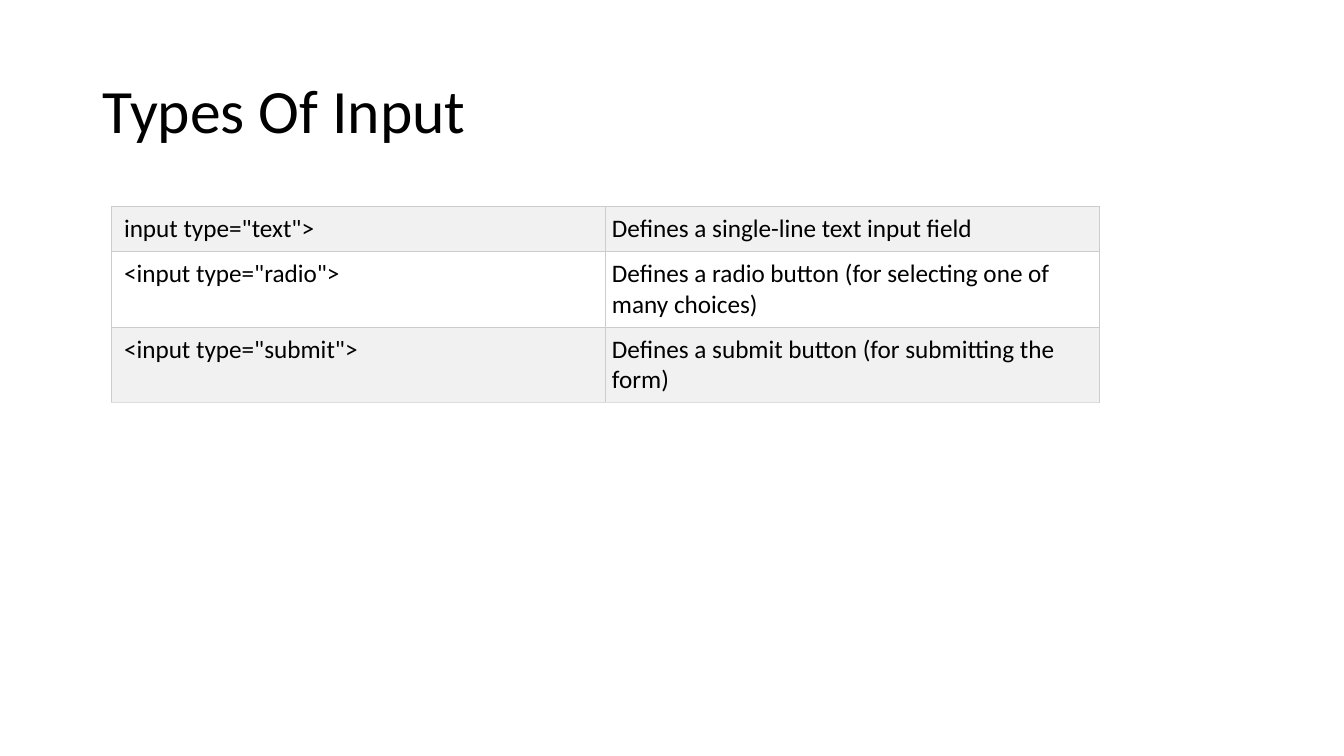
from lxml import etree
from pptx import Presentation, util as u
from pptx.dml.color import RGBColor
from pptx.enum import text
from pptx.oxml import ns


def color(hex_value):
    return RGBColor.from_string(hex_value)


def add_border(cell, side, hex_value):
    properties = cell._tc.get_or_add_tcPr()
    line = etree.SubElement(properties, ns.qn(f"a:ln{side}"), w=str(u.Pt(0.6)))
    fill = etree.SubElement(line, ns.qn("a:solidFill"))
    etree.SubElement(fill, ns.qn("a:srgbClr"), val=hex_value)


FONT = "Calibri"
INPUT_TYPES = [
    ('input type="text">', "Defines a single-line text input field"),
    ('<input type="radio">', "Defines a radio button (for selecting one of many choices)"),
    ('<input type="submit">', "Defines a submit button (for submitting the form)"),
]
ROW_HEIGHTS = [0.44, 0.75, 0.75]
COLUMN_WIDTH = 4.9
BAND_FILLS = ["F1F1F1", "FFFFFF"]

prs = Presentation()
prs.slide_width, prs.slide_height = u.Inches(13.33), u.Inches(7.5)
slide = prs.slides.add_slide(prs.slide_layouts[5])

# Title
title = slide.shapes.title
title.left, title.top = u.Inches(0.92), u.Inches(0.4)
title.width, title.height = u.Inches(11.5), u.Inches(1.45)
title.text_frame.text = "Types Of Input"
title.text_frame.vertical_anchor = text.MSO_ANCHOR.MIDDLE
heading = title.text_frame.paragraphs[0]
heading.alignment = text.PP_ALIGN.LEFT
heading.line_spacing = 0.9
heading.runs[0].font.size = u.Pt(44)
heading.runs[0].font.name = FONT
heading.runs[0].font.color.rgb = color("000000")

# Table of input types
types_table = slide.shapes.add_table(
    len(INPUT_TYPES), 2, u.Inches(1.1), u.Inches(2.05),
    u.Inches(2 * COLUMN_WIDTH), u.Inches(sum(ROW_HEIGHTS))).table
types_table.first_row = False
types_table.horz_banding = False
for column in types_table.columns:
    column.width = u.Inches(COLUMN_WIDTH)

for r, (entry, height) in enumerate(zip(INPUT_TYPES, ROW_HEIGHTS)):
    types_table.rows[r].height = u.Inches(height)
    last_row = r == len(INPUT_TYPES) - 1
    for c, wording in enumerate(entry):
        cell = types_table.cell(r, c)
        cell.text_frame.text = wording
        cell.margin_left = u.Inches(0.07 if c else 0.13)
        cell.margin_right = cell.margin_top = cell.margin_bottom = u.Inches(0.07)
        font = cell.text_frame.paragraphs[0].runs[0].font
        font.size, font.name = u.Pt(18), FONT
        font.color.rgb = color("000000")
        # Borders, then the banded fill
        for side in "LRTB":
            add_border(cell, side, "DDDDDD" if last_row and side == "B" else "CCCCCC")
        cell.fill.solid()
        cell.fill.fore_color.rgb = color(BAND_FILLS[r % 2])

prs.save("out.pptx")
